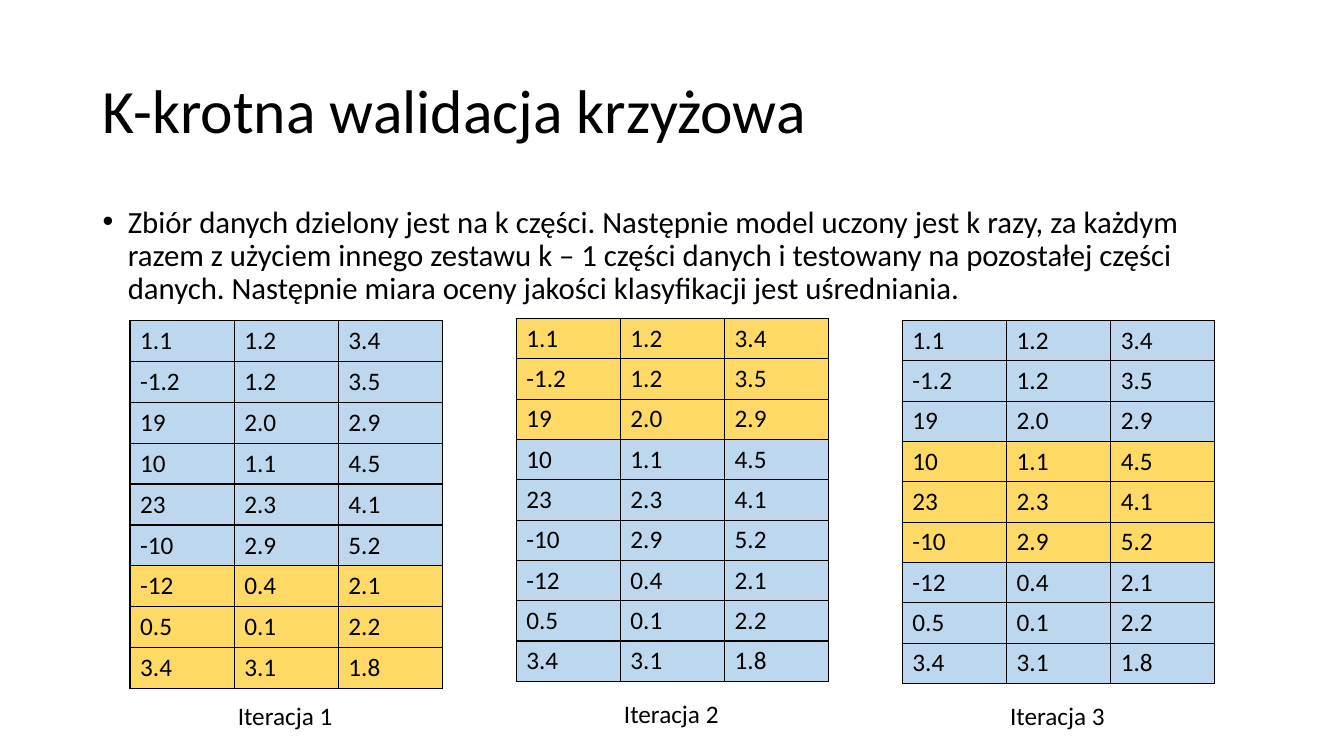
"""Builds a slide that explains k-fold cross-validation with three fold tables."""
from lxml.etree import SubElement
from pptx import Presentation
from pptx.dml.color import RGBColor
from pptx.enum.text import MSO_ANCHOR as Anchor
from pptx.oxml.ns import qn
from pptx.util import Inches, Pt

BLACK = RGBColor(0x00, 0x00, 0x00)
TRAIN_BLUE = RGBColor(0xBD, 0xD7, 0xEE)
TEST_YELLOW = RGBColor(0xFF, 0xD9, 0x66)

TITLE = "K-krotna walidacja krzyżowa"
EXPLANATION = (
    "Zbiór danych dzielony jest na k części. Następnie model uczony jest k razy, "
    "za każdym razem z użyciem innego zestawu k – 1 części danych i testowany na "
    "pozostałej części danych. Następnie miara oceny jakości klasyfikacji jest uśredniania."
)
SAMPLES = [
    ("1.1", "1.2", "3.4"),
    ("-1.2", "1.2", "3.5"),
    ("19", "2.0", "2.9"),
    ("10", "1.1", "4.5"),
    ("23", "2.3", "4.1"),
    ("-10", "2.9", "5.2"),
    ("-12", "0.4", "2.1"),
    ("0.5", "0.1", "2.2"),
    ("3.4", "3.1", "1.8"),
]
FOLD_SIZE = 3
TABLE_LEFT, TABLE_PITCH, TABLE_WIDTH = 1.29, 3.83, 3.1
CAPTION_INDENT, CAPTION_DROP = 0.97, 3.72
ITERATIONS = [(3.18, 3.65, 2), (3.16, 3.6, 0), (3.18, 3.6, 1)]


class SlideBuilder:
    """Holds the text style and the current slide."""

    def __init__(self, slide, font="Calibri", color=BLACK):
        """Keep the slide and its common text style."""
        self.slide = slide
        self.font = font
        self.color = color

    def add_styled_run(self, paragraph, text, size):
        """Put styled text into a paragraph."""
        run = paragraph.add_run()
        run.text = text
        run.font.color.rgb = self.color
        for name, value in {"name": self.font, "size": Pt(size)}.items():
            setattr(run.font, name, value)

    def text(self, box, text, size, paragraph_format=None, **frame_format):
        """Add a text box and return its paragraph."""
        shape = self.slide.shapes.add_textbox(*map(Inches, box))
        frame = shape.text_frame
        for name, value in {"word_wrap": True, **frame_format}.items():
            setattr(frame, name, value)
        paragraph = frame.paragraphs[0]
        for name, value in (paragraph_format or {}).items():
            setattr(paragraph, name, value)
        self.add_styled_run(paragraph, text, size)
        return paragraph

    def bullet(self, box, text, size):
        """Add a text box with one bulleted paragraph."""
        spacing = {"line_spacing": 0.9, "space_before": Pt(10)}
        properties = self.text(box, text, size, spacing)._p.get_or_add_pPr()
        properties.set("marL", str(Inches(0.25)))
        properties.set("indent", str(-Inches(0.25)))
        SubElement(properties, qn("a:buFont"), typeface="Arial")
        SubElement(properties, qn("a:buChar"), char="•")

    def border(self, cell):
        """Draw a thin line on all four sides of a cell."""
        properties = cell._tc.get_or_add_tcPr()
        for side in ("lnL", "lnR", "lnT", "lnB"):
            line = SubElement(properties, qn(f"a:{side}"), w=str(Pt(1)))
            fill = SubElement(line, qn("a:solidFill"))
            SubElement(fill, qn("a:srgbClr"), val=str(self.color))

    def table(self, box, rows, test_fold):
        """Add a sample table with the test fold highlighted."""
        lengths = map(Inches, box)
        table = self.slide.shapes.add_table(len(rows), len(rows[0]), *lengths).table
        for name in ("first_row", "horz_banding"):
            setattr(table, name, False)
        cell_format = {
            "margin_top": Inches(0.04),
            "margin_bottom": Inches(0.04),
            "vertical_anchor": Anchor.MIDDLE,
        }
        for row_index, row in enumerate(rows):
            is_test = row_index // FOLD_SIZE == test_fold
            for column_index, value in enumerate(row):
                cell = table.cell(row_index, column_index)
                for name, setting in cell_format.items():
                    setattr(cell, name, setting)
                self.border(cell)
                cell.fill.solid()
                cell.fill.fore_color.rgb = TEST_YELLOW if is_test else TRAIN_BLUE
                self.add_styled_run(cell.text_frame.paragraphs[0], value, 18)


def main():
    """Build and save the presentation."""
    presentation = Presentation()
    presentation.slide_width = Inches(13.33)
    presentation.slide_height = Inches(7.5)
    builder = SlideBuilder(presentation.slides.add_slide(presentation.slide_layouts[6]))

    builder.text((0.92, 0.4, 11.5, 1.45), TITLE, 44, {"line_spacing": 0.9},
                 vertical_anchor=Anchor.MIDDLE)
    builder.bullet((0.92, 2, 11.5, 4.76), EXPLANATION, 22)
    for index, (top, height, test_fold) in enumerate(ITERATIONS):
        left = TABLE_LEFT + index * TABLE_PITCH
        builder.table((left, top, TABLE_WIDTH, height), SAMPLES, test_fold)
        builder.text((left + CAPTION_INDENT, top + CAPTION_DROP, 1.15, 0.4),
                     f"Iteracja {index + 1}", 18, word_wrap=False)

    presentation.save("out.pptx")


if __name__ == "__main__":
    main()
